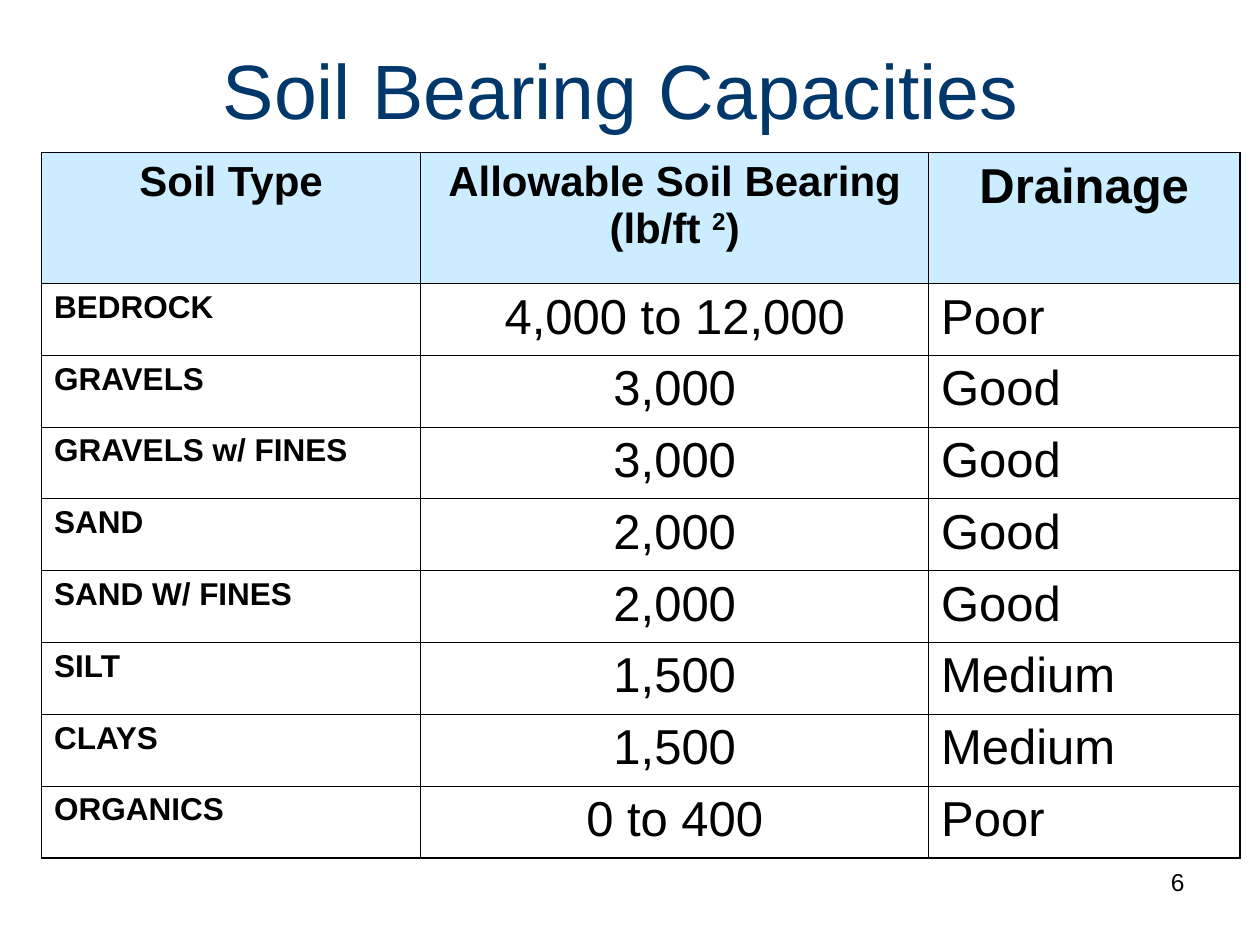
from dataclasses import dataclass

from lxml.etree import SubElement
from pptx import Presentation
from pptx.dml.color import RGBColor
from pptx.enum.text import MSO_ANCHOR, PP_ALIGN
from pptx.oxml.ns import qn
from pptx.util import Inches, Pt

BLACK, NAVY, PALE_BLUE = "000000", "00386B", "CCECFF"
THIN, THICK = 0.45, 1.08
COLUMN_WIDTHS = (3.01, 4.03, 2.47)
HEADER_HEIGHT, ROW_HEIGHT = 1.04, 0.57


@dataclass(frozen=True)
class Style:
    size: float
    align: PP_ALIGN = PP_ALIGN.LEFT
    bold: bool = False
    colour: str = BLACK


@dataclass(frozen=True)
class Soil:
    name: str
    bearing: str
    drainage: str


HEADERS = (("Soil Type",), ("Allowable Soil Bearing (lb/ft ", "2", ")"), ("Drainage",))
HEADER_STYLES = tuple(Style(size, PP_ALIGN.CENTER, bold=True) for size in (24, 24, 28))
BODY_STYLES = (Style(18, bold=True), Style(28, PP_ALIGN.CENTER), Style(28))
SOILS = (
    Soil("BEDROCK", "4,000 to 12,000", "Poor"),
    Soil("GRAVELS", "3,000", "Good"),
    Soil("GRAVELS w/ FINES", "3,000", "Good"),
    Soil("SAND", "2,000", "Good"),
    Soil("SAND W/ FINES", "2,000", "Good"),
    Soil("SILT", "1,500", "Medium"),
    Soil("CLAYS", "1,500", "Medium"),
    Soil("ORGANICS", "0 to 400", "Poor"),
)


def rgb(colour: str) -> RGBColor:
    return RGBColor.from_string(colour)


def write(frame, texts: tuple, style: Style) -> None:
    """Write one paragraph; every second run is a superscript."""
    para = frame.paragraphs[0]
    para.alignment = style.align
    for index, text in enumerate(texts):
        span = para.add_run()
        span.text = text
        span.font.name = "Arial"
        span.font.size = Pt(style.size)
        span.font.bold = style.bold
        span.font.color.rgb = rgb(style.colour)
        if index % 2:
            span.font._element.set("baseline", "30000")


def add_text(page, left: float, top: float, width: float, height: float,
             text: str, style: Style, anchor=MSO_ANCHOR.TOP) -> None:
    box = page.shapes.add_textbox(Inches(left), Inches(top), Inches(width), Inches(height))
    box.text_frame.word_wrap = True
    box.text_frame.vertical_anchor = anchor
    write(box.text_frame, (text,), style)


def set_borders(cell, widths: dict) -> None:
    properties = cell._tc.get_or_add_tcPr()
    for index, (side, width) in enumerate(widths.items()):
        line = SubElement(properties, qn(f"a:ln{side}"), w=str(Pt(width)))
        fill = SubElement(line, qn("a:solidFill"))
        SubElement(fill, qn("a:srgbClr"), val=BLACK)
        properties.insert(index, line)


def add_soil_table(page) -> None:
    rows = [HEADERS] + [((soil.name,), (soil.bearing,), (soil.drainage,)) for soil in SOILS]
    last_row, last_column = len(rows) - 1, len(COLUMN_WIDTHS) - 1
    height = HEADER_HEIGHT + ROW_HEIGHT * len(SOILS)
    table = page.shapes.add_table(len(rows), len(COLUMN_WIDTHS), Inches(0.33), Inches(1.21),
                                  Inches(sum(COLUMN_WIDTHS)), Inches(height)).table
    table.horz_banding = False
    for column, width in zip(table.columns, COLUMN_WIDTHS):
        column.width = Inches(width)

    for row_index, row in enumerate(rows):
        is_header = row_index == 0
        table.rows[row_index].height = Inches(HEADER_HEIGHT if is_header else ROW_HEIGHT)
        styles = HEADER_STYLES if is_header else BODY_STYLES
        for column_index, (texts, style) in enumerate(zip(row, styles)):
            cell = table.cell(row_index, column_index)
            write(cell.text_frame, texts, style)
            if is_header:
                cell.fill.solid()
                cell.fill.fore_color.rgb = rgb(PALE_BLUE)
            else:
                cell.fill.background()
            # Thick lines run around the table, thin lines inside it
            set_borders(cell, {
                "L": THICK if column_index == 0 else THIN,
                "R": THICK if column_index == last_column else THIN,
                "T": THICK if is_header else THIN,
                "B": THICK if row_index == last_row else THIN,
            })


def main() -> None:
    deck = Presentation()
    deck.slide_width, deck.slide_height = Inches(10), Inches(7.5)
    page = deck.slides.add_slide(deck.slide_layouts[6])

    # Page number, title and table
    add_text(page, 7.17, 6.83, 2.33, 0.52, "6", Style(14, PP_ALIGN.RIGHT))
    add_text(page, 0.43, 0.21, 9, 0.99, "Soil Bearing Capacities",
             Style(44, PP_ALIGN.CENTER, colour=NAVY), MSO_ANCHOR.MIDDLE)
    add_soil_table(page)
    deck.save("out.pptx")


if __name__ == "__main__":
    main()
